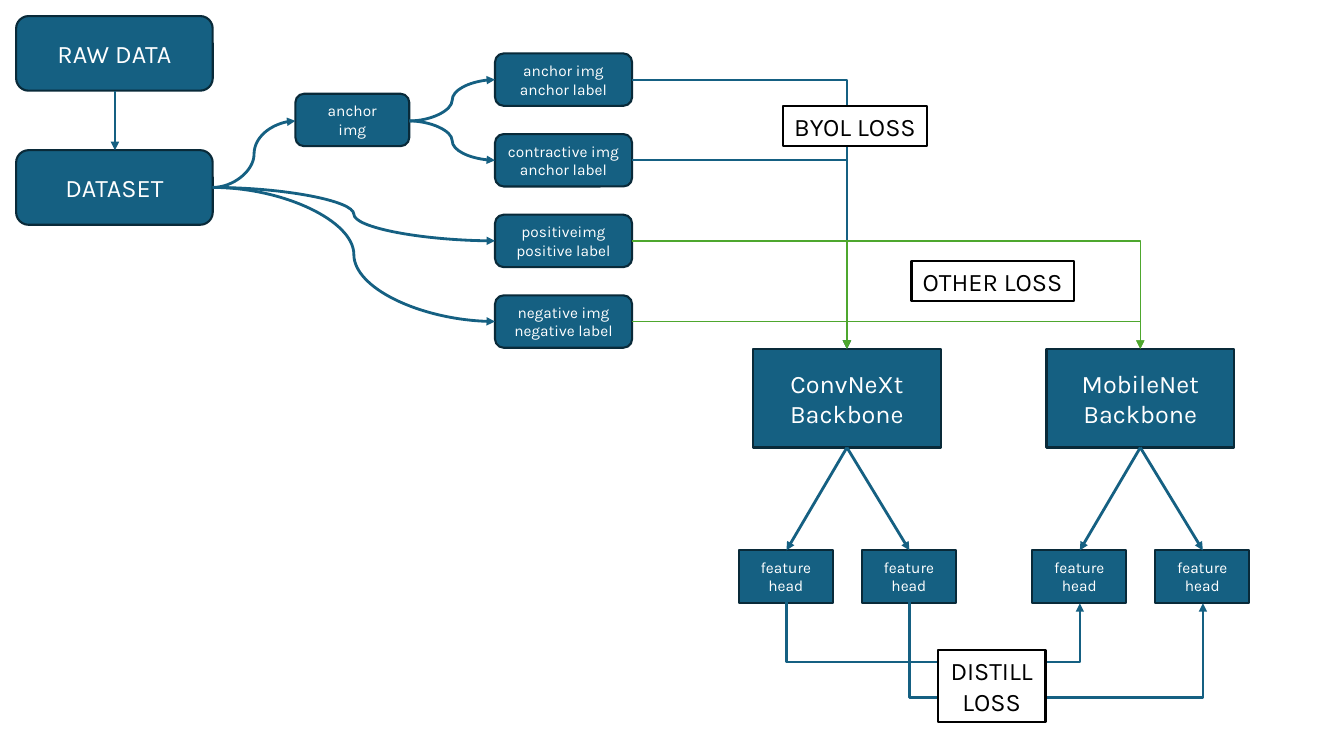
import pptx
import pptx.dml.color
import pptx.enum.shapes
import pptx.enum.text
import pptx.oxml.ns
import pptx.util
from lxml import etree
from pptx.util import Inches

SHAPE = pptx.enum.shapes.MSO_SHAPE
CONNECTOR = pptx.enum.shapes.MSO_CONNECTOR
BLUE, NAVY, GREEN, WHITE, BLACK = "156082", "092A39", "4EA72E", "FFFFFF", "000000"


def color(value):
    """Turn a hex string into a colour."""
    return pptx.dml.color.RGBColor.from_string(value)


def add_box(slide, text, left, top, width, height, size,
            kind=SHAPE.RECTANGLE, fill=BLUE, outline=NAVY, ink=WHITE):
    """Add a filled box with centred text."""
    shape = slide.shapes.add_shape(
        kind, Inches(left), Inches(top), Inches(width), Inches(height))
    shape.shadow.inherit = False
    shape.fill.solid()
    shape.fill.fore_color.rgb = color(fill)
    shape.line.color.rgb = color(outline)
    shape.line.width = pptx.util.Pt(1.5)
    frame = shape.text_frame
    frame.text = text
    frame.vertical_anchor = pptx.enum.text.MSO_ANCHOR.MIDDLE
    for paragraph in frame.paragraphs:
        paragraph.alignment = pptx.enum.text.PP_ALIGN.CENTER
        paragraph.font.name = "Karla"
        paragraph.font.size = pptx.util.Pt(size)
        paragraph.font.color.rgb = color(ink)
    return shape


def add_loss_label(slide, text, left, top, width, height):
    """Add a white label that fits its unwrapped text."""
    label = add_box(slide, text, left, top, width, height, 18,
                    fill=WHITE, outline=BLACK, ink=BLACK)
    label.text_frame.word_wrap = False
    label.text_frame.auto_size = pptx.enum.text.MSO_AUTO_SIZE.SHAPE_TO_FIT_TEXT


def add_arrow(slide, kind, start, end, stroke=BLUE, width=2):
    """Add a connector with an arrowhead at its end."""
    connector = slide.shapes.add_connector(
        kind, *(Inches(length) for length in (*start, *end)))
    connector.line.color.rgb = color(stroke)
    connector.line.width = pptx.util.Pt(width)
    line = connector.line._get_or_add_ln()
    etree.SubElement(line, pptx.oxml.ns.qn("a:tailEnd"), type="triangle")
    etree.SubElement(connector._element.spPr, pptx.oxml.ns.qn("a:effectLst"))
    return connector


def add_corner_arrow(slide, start, end, stroke=BLUE, width=1.5):
    """Add an arrow that runs across and then down."""
    connector = add_arrow(slide, CONNECTOR.ELBOW, start, end, stroke, width)
    connector._element.spPr.find(pptx.oxml.ns.qn("a:prstGeom")).set("prst", "bentConnector2")


def add_loop_arrow(slide, left, right, top, depth):
    """Add an arrow that drops, runs right and rises again."""
    thickness = 0.01
    middle, half = (left + right) / 2, (right - left) / 2
    connector = add_arrow(
        slide, CONNECTOR.ELBOW, (middle + thickness / 2, top - half),
        (middle - thickness / 2, top + half), width=1.5)
    properties = connector._element.spPr
    properties.find(pptx.oxml.ns.qn("a:xfrm")).set("rot", "16200000")
    geometry = properties.find(pptx.oxml.ns.qn("a:prstGeom"))
    adjustments = geometry.find(pptx.oxml.ns.qn("a:avLst"))
    if adjustments is None:
        adjustments = etree.SubElement(geometry, pptx.oxml.ns.qn("a:avLst"))
    etree.SubElement(adjustments, pptx.oxml.ns.qn("a:gd"), name="adj1",
                     fmla=f"val {round(depth / thickness * 100000)}")


def add_data_flow(slide, sample_centers):
    """Add the data boxes and the arrows that split them into samples."""
    rounded = SHAPE.ROUNDED_RECTANGLE
    add_box(slide, "RAW DATA", 0.16, 0.16, 1.95, 0.74, 18, rounded)
    add_box(slide, "DATASET", 0.16, 1.49, 1.95, 0.74, 18, rounded)
    add_box(slide, "anchor\nimg", 2.93, 0.93, 1.13, 0.52, 11, rounded)
    samples = ("anchor img\vanchor label", "contractive img\vanchor label",
               "positiveimg\vpositive label", "negative img\vnegative label")
    for index, (text, center) in enumerate(zip(samples, sample_centers)):
        add_box(slide, text, 4.91, center - 0.26, 1.36, 0.52, 11, rounded)
        start = (4.06, 1.2) if index < 2 else (2.11, 1.86)
        add_arrow(slide, CONNECTOR.CURVE, start, (4.91, center))
    add_arrow(slide, CONNECTOR.CURVE, (2.11, 1.86), (2.93, 1.2))
    add_arrow(slide, CONNECTOR.STRAIGHT, (1.14, 0.9), (1.14, 1.49))


def add_network(slide, name, center):
    """Add a backbone with its two feature heads."""
    add_box(slide, f"{name}\nBackbone", center - 0.93, 3.46, 1.86, 0.98, 18)
    for offset in (-0.6, 0.62):
        head = center + offset
        add_box(slide, "feature\nhead", head - 0.47, 5.46, 0.93, 0.52, 11)
        add_arrow(slide, CONNECTOR.STRAIGHT, (center, 4.44), (head, 5.46))


def main():
    """Build and save the slide."""
    presentation = pptx.Presentation()
    presentation.slide_width = Inches(13.33)
    presentation.slide_height = Inches(7.5)
    slide = presentation.slides.add_slide(presentation.slide_layouts[6])

    sample_centers = [0.79 + 0.8 * index for index in range(4)]
    networks = {"ConvNeXt": 8.4, "MobileNet": 11.31}
    add_data_flow(slide, sample_centers)
    for name, center in networks.items():
        add_network(slide, name, center)

    student, teacher = networks.values()
    for center in sample_centers[:2]:
        add_corner_arrow(slide, (6.27, center), (student, 3.46))
    for center in sample_centers[2:]:
        for backbone in networks.values():
            add_corner_arrow(slide, (6.27, center), (backbone, 3.46), GREEN, 1)
    for offset, depth in ((-0.6, 0.6), (0.62, 0.96)):
        add_loop_arrow(slide, student + offset, teacher + offset, 5.98, depth)

    add_loss_label(slide, "BYOL LOSS", 7.77, 1.05, 1.42, 0.4)
    add_loss_label(slide, "OTHER LOSS", 9.04, 2.59, 1.61, 0.4)
    add_loss_label(slide, "DISTILL\nLOSS", 9.3, 6.45, 1.07, 0.71)
    presentation.save("out.pptx")


if __name__ == "__main__":
    main()
